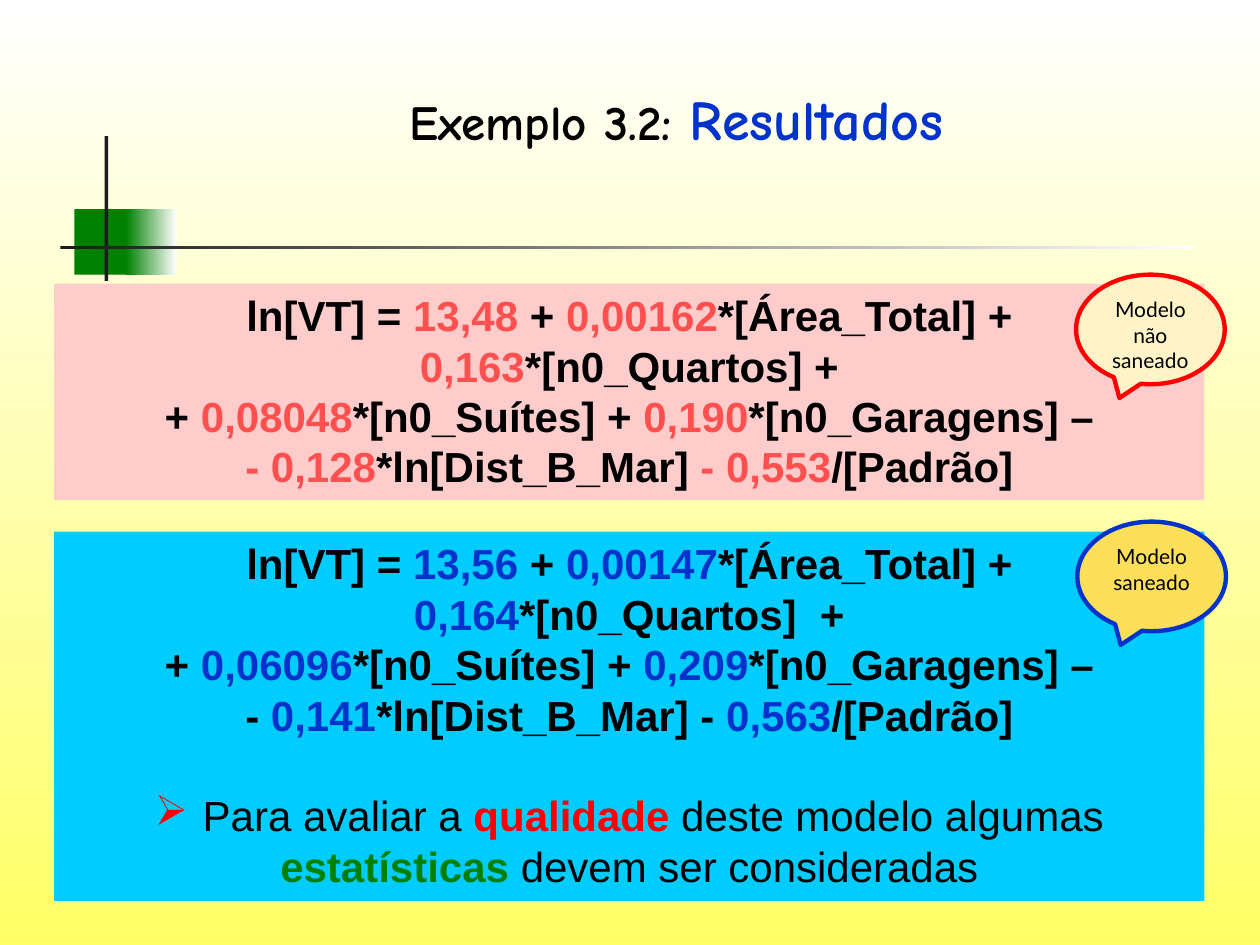
import pptx
import pptx.util
import pptx.dml.color
import pptx.enum.shapes
import pptx.enum.text
import pptx.oxml
import pptx.oxml.ns

Inches = pptx.util.Inches
Pt = pptx.util.Pt
SHAPES = pptx.enum.shapes.MSO_SHAPE
ANCHOR = pptx.enum.text.MSO_ANCHOR
BLACK, RED, BLUE = "000000", "FF0000", "0033CC"
GREEN, CORAL, CHARCOAL = "008000", "FF5050", "1C1C1C"


def color(value):
    return pptx.dml.color.RGBColor.from_string(value)


def set_gradient(fill, start, end, angle):
    fill.gradient()
    fill.gradient_angle = angle
    for stop, position, value in zip(fill.gradient_stops, (0, 1), (start, end)):
        stop.position = position
        stop.color.rgb = color(value)


def add_filled_shape(slide, kind, box, fill, fade_to=None):
    shape = slide.shapes.add_shape(kind, *map(Inches, box))
    shape.shadow.inherit = False
    shape.line.fill.background()
    if fade_to:
        set_gradient(shape.fill, fill, fade_to, 0)
    else:
        shape.fill.solid()
        shape.fill.fore_color.rgb = color(fill)
    return shape


def write_paragraphs(text_frame, paragraphs, font, size, bold=False):
    """Each paragraph is a list of (text, color[, overrides]) runs."""
    text_frame.text = "\n".join("" for _ in paragraphs)
    for paragraph, runs in zip(text_frame.paragraphs, paragraphs):
        paragraph.alignment = pptx.enum.text.PP_ALIGN.CENTER
        for text, value, *overrides in runs:
            options = overrides[0] if overrides else {}
            run = paragraph.add_run()
            run.text = text
            run.font.name = font
            run.font.size = Pt(options.get("size", size))
            run.font.bold = options.get("bold", bold)
            run.font.color.rgb = color(value)


def add_bullet(paragraph, character, value):
    properties = paragraph._p.get_or_add_pPr()
    properties.set("marL", str(Inches(0.38)))
    properties.set("indent", str(Inches(-0.38)))
    namespace = pptx.oxml.ns.nsdecls("a")
    for xml in (
        f'<a:buClr {namespace}><a:srgbClr val="{value}"/></a:buClr>',
        f'<a:buChar {namespace} char="{character}"/>',
    ):
        properties.append(pptx.oxml.parse_xml(xml))


def add_ornament(slide, box):
    """Green block crossed by a vertical bar and a fading rule."""
    left, top, width, height = box
    rectangle = SHAPES.RECTANGLE
    add_filled_shape(slide, rectangle, (left + 0.11, top + 0.58, 0.46, 0.52), GREEN)
    add_filled_shape(slide, rectangle, (left + 0.52, top + 0.58, 0.4, 0.52), GREEN, "FFFFFF")
    add_filled_shape(slide, rectangle, (left + 0.35, top, 0.03, height), CHARCOAL)
    add_filled_shape(slide, rectangle, (left, top + 0.87, width, 0.03), CHARCOAL, "FFFFFF")


def add_title(slide, box, runs):
    text_frame = slide.shapes.add_textbox(*map(Inches, box)).text_frame
    text_frame.word_wrap = True
    text_frame.vertical_anchor = ANCHOR.BOTTOM
    write_paragraphs(text_frame, [runs], "Comic Neue", 28, bold=True)


def add_equation_panel(slide, box, fill, paragraphs):
    shape = add_filled_shape(slide, SHAPES.RECTANGLE, box, fill)
    text_frame = shape.text_frame
    text_frame.word_wrap = True
    text_frame.vertical_anchor = ANCHOR.TOP
    write_paragraphs(text_frame, paragraphs, "Arial", 24, bold=True)
    return text_frame


def add_callout(slide, box, fill, outline, lines):
    shape = add_filled_shape(slide, SHAPES.OVAL_CALLOUT, box, fill)
    shape.line.color.rgb = color(outline)
    shape.line.width = Pt(2.5)
    text_frame = shape.text_frame
    text_frame.word_wrap = False
    text_frame.vertical_anchor = ANCHOR.TOP
    write_paragraphs(text_frame, [[(line, BLACK)] for line in lines], "Lato", 12)


def main():
    presentation = pptx.Presentation()
    presentation.slide_width = Inches(10)
    presentation.slide_height = Inches(7.5)
    slide = presentation.slides.add_slide(presentation.slide_layouts[6])
    # A gradient angle of 270 counter-clockwise runs from top to bottom
    set_gradient(slide.background.fill, "FFFFFF", "FFFF66", 270)

    # Heading
    add_ornament(slide, (0.48, 1.08, 9, 1.15))
    add_title(slide, (1.58, 0.5, 7.58, 0.75),
              [("Exemplo 3.2: ", BLACK), ("Resultados", BLUE, {"size": 32})])

    # Cleaned model and closing remark
    plain = {"bold": False}
    cleaned = add_equation_panel(slide, (0.43, 4.22, 9.13, 2.93), "00CCFF", [
        [("ln[VT] = ", BLACK), ("13,56", BLUE), (" + ", BLACK),
         ("0,00147", BLUE), ("*[Área_Total] +", BLACK)],
        [("0,164", BLUE), ("*[n0_Quartos]  +", BLACK)],
        [("+ ", BLACK), ("0,06096", BLUE), ("*[n0_Suítes] + ", BLACK),
         ("0,209", BLUE), ("*[n0_Garagens] –", BLACK)],
        [("- ", BLACK), ("0,141", BLUE), ("*ln[Dist_B_Mar] - ", BLACK),
         ("0,563", BLUE), ("/[Padrão]", BLACK)],
        [("Para avaliar a ", BLACK, plain), ("qualidade", RED),
         (" deste modelo algumas", BLACK, plain)],
        [("estatísticas ", GREEN), ("devem ser consideradas", BLACK, plain)],
    ])
    remark = cleaned.paragraphs[4]
    remark.space_before = Pt(28.8)
    add_bullet(remark, "➢", RED)

    # Uncleaned model
    add_equation_panel(slide, (0.43, 2.25, 9.13, 1.72), "FFCCCC", [
        [("ln[VT] = ", BLACK), ("13,48", CORAL), (" + ", BLACK),
         ("0,00162", CORAL), ("*[Área_Total] + ", BLACK),
         ("0,163", CORAL), ("*[n0_Quartos] +", BLACK)],
        [("+ ", BLACK), ("0,08048", CORAL), ("*[n0_Suítes] + ", BLACK),
         ("0,190", CORAL), ("*[n0_Garagens] –", BLACK)],
        [("- 0,128", CORAL), ("*ln[Dist_B_Mar] ", BLACK),
         ("- 0,553", CORAL), ("/[Padrão]", BLACK)],
    ])

    # Model labels
    add_callout(slide, (8.54, 2.18, 1.18, 0.87), "FFF4C8", RED,
                ("Modelo", "não", "saneado"))
    add_callout(slide, (8.55, 4.14, 1.18, 0.87), "FEDF59", BLUE,
                ("Modelo", "saneado"))

    presentation.save("out.pptx")


if __name__ == "__main__":
    main()
